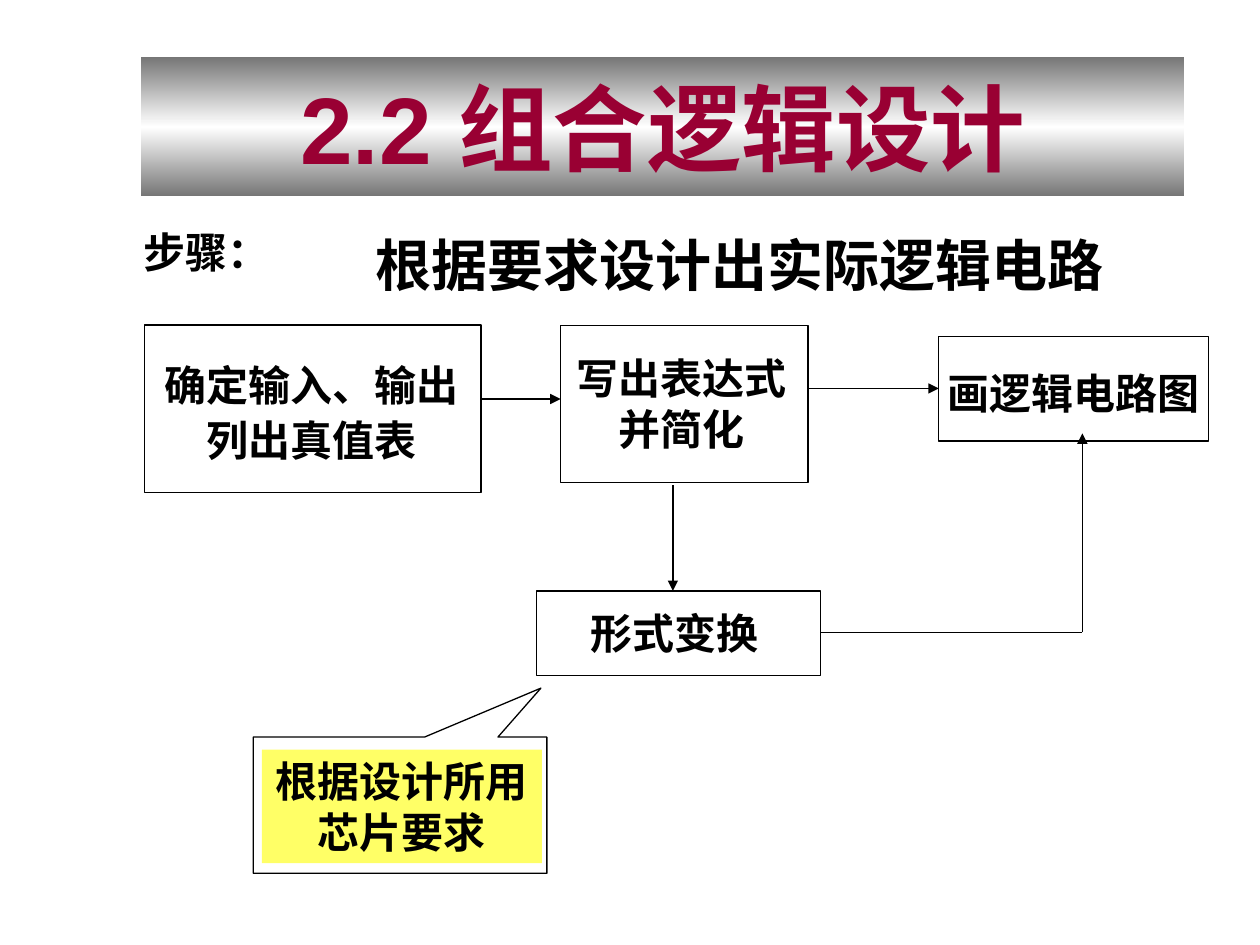
from dataclasses import dataclass
from typing import Optional

from lxml.etree import SubElement
from pptx import Presentation
from pptx.dml.color import RGBColor
from pptx.enum.shapes import MSO_CONNECTOR as Connector
from pptx.enum.shapes import MSO_SHAPE as Preset
from pptx.enum.text import MSO_ANCHOR as Anchor
from pptx.enum.text import MSO_AUTO_SIZE as AutoSize
from pptx.enum.text import PP_ALIGN as Align
from pptx.oxml.ns import qn
from pptx.util import Pt

BLACK = RGBColor(0x00, 0x00, 0x00)
CRIMSON = RGBColor(0x99, 0x00, 0x33)
YELLOW = RGBColor(0xFF, 0xFF, 0x66)
GRAY = RGBColor(0x76, 0x76, 0x76)
WHITE = RGBColor(0xFF, 0xFF, 0xFF)
LATIN, CHINESE = "Arial", "Noto Sans CJK SC"
LINE_WIDTH = 0.75


@dataclass(frozen=True)
class Area:
    left: float
    top: float
    width: float
    height: float

    def lengths(self) -> tuple:
        return tuple(Pt(v) for v in (self.left, self.top, self.width, self.height))


@dataclass(frozen=True)
class Label:
    lines: tuple
    area: Area
    size: float = 24
    font: str = LATIN
    align: Align = Align.CENTER
    anchor: Anchor = Anchor.MIDDLE
    spacing: float = 1.0
    left_inset: float = 7.2
    wrap: bool = False
    fill: Optional[RGBColor] = None


@dataclass(frozen=True)
class Line:
    start: tuple
    end: tuple
    arrow: bool = True


def format_span(span, size: float, font: str, color: RGBColor) -> None:
    values = {"name": font, "size": Pt(size), "bold": True}
    for name, value in values.items():
        setattr(span.font, name, value)
    span.font.color.rgb = color
    SubElement(span.font._element, qn("a:ea"), typeface=CHINESE)


def add_label(page, label: Label) -> None:
    if label.fill is None:
        box = page.shapes.add_textbox(*label.area.lengths())
    else:
        box = page.shapes.add_shape(Preset.RECTANGLE, *label.area.lengths())
        box.shadow.inherit = False
        box.fill.solid()
        box.fill.fore_color.rgb = label.fill
        box.line.fill.background()
    frame = box.text_frame
    values = {"word_wrap": label.wrap, "auto_size": AutoSize.SHAPE_TO_FIT_TEXT,
              "vertical_anchor": label.anchor, "margin_left": Pt(label.left_inset)}
    for name, value in values.items():
        setattr(frame, name, value)
    for index, line in enumerate(label.lines):
        para = frame.add_paragraph() if index else frame.paragraphs[0]
        para.alignment = label.align
        para.line_spacing = label.spacing
        span = para.add_run()
        span.text = line
        format_span(span, label.size, label.font, BLACK)


def add_outline(page, preset: Preset, area: Area):
    shape = page.shapes.add_shape(preset, *area.lengths())
    shape.shadow.inherit = False
    shape.fill.background()
    shape.line.color.rgb = BLACK
    shape.line.width = Pt(LINE_WIDTH)
    return shape


def add_line(page, line: Line) -> None:
    ends = (Pt(v) for v in line.start + line.end)
    connector = page.shapes.add_connector(Connector.STRAIGHT, *ends)
    connector.line.color.rgb = BLACK
    connector.line.width = Pt(LINE_WIDTH)
    if line.arrow:
        SubElement(connector.line._get_or_add_ln(), qn("a:tailEnd"), type="triangle")
    SubElement(connector._element.spPr, qn("a:effectLst"))


def fill_banner(shape) -> None:
    """Vertical gray-white-gray gradient."""
    shape.fill.gradient()
    shape.fill.gradient_angle = 270
    stops = shape.fill._fill._gradFill.find(qn("a:gsLst"))
    for stop in list(stops):
        stops.remove(stop)
    for percent, color in ((0, GRAY), (50, WHITE), (100, GRAY)):
        stop = SubElement(stops, qn("a:gs"), pos=str(percent * 1000))
        SubElement(stop, qn("a:srgbClr"), val=str(color))


def add_title(page, text: str, area: Area) -> None:
    title = page.shapes.title
    title.left, title.top, title.width, title.height = area.lengths()
    fill_banner(title)
    frame = title.text_frame
    frame.auto_size = AutoSize.NONE
    frame.vertical_anchor = Anchor.MIDDLE
    para = frame.paragraphs[0]
    para.alignment = Align.CENTER
    span = para.add_run()
    span.text = text
    format_span(span, 54, LATIN, CRIMSON)


# Flow chart frames
FRAMES = (
    Area(82.8, 185.8, 192.2, 95.8),
    Area(320.4, 185.8, 141.4, 90),
    Area(536.4, 192.2, 154, 59.8),
    Area(306.7, 337.7, 162, 48.2),
)
CALLOUT = Area(144.7, 421.2, 167.8, 77.8)

# Arrows between the steps
LINES = (
    Line((275, 228), (320.4, 228)),
    Line((462, 222), (536.4, 222)),
    Line((384.5, 277.2), (384.5, 337.7)),
    Line((468.7, 361.4), (618.5, 361.4), arrow=False),
    Line((618.5, 361.4), (618.5, 247.7)),
)

# Indented labels sit right of a one-inch inset; widths leave slack for one line
INDENT = 79.2
LABELS = (
    Label(("步骤：",), Area(74.9, 126, 90, 36), align=Align.LEFT, anchor=Anchor.TOP),
    Label(("根据要求设计出实际逻辑电路",), Area(207.4, 128.2, 436, 46.1), size=32,
          align=Align.LEFT, anchor=Anchor.TOP),
    Label(("确定输入、输出", "列出真值表"), Area(10.1, 198.7, 264.2, 70.6),
          spacing=1.1, left_inset=INDENT, wrap=True),
    Label(("写出表达式", "并简化"), Area(320.5, 198, 138, 64.8)),
    Label(("画逻辑电路图",), Area(460.4, 203.8, 234, 38.9), anchor=Anchor.TOP,
          spacing=1.1, left_inset=INDENT),
    Label(("形式变换",), Area(328.6, 343.4, 114, 36)),
    Label(("根据设计所用", "芯片要求"), Area(149.7, 428.4, 160, 64.8),
          font=CHINESE, fill=YELLOW),
)


def main() -> None:
    deck = Presentation()
    deck.slide_width, deck.slide_height = Pt(720), Pt(540)
    page = deck.slides.add_slide(deck.slide_layouts.get_by_name("Title Only"))
    add_title(page, "2.2 组合逻辑设计", Area(80.6, 32.4, 596.2, 79.9))
    for area in FRAMES:
        add_outline(page, Preset.RECTANGLE, area)
    callout = add_outline(page, Preset.RECTANGULAR_CALLOUT, CALLOUT)
    callout.adjustments[0], callout.adjustments[1] = 0.48, -0.86
    for line in LINES:
        add_line(page, line)
    for label in LABELS:
        add_label(page, label)
    deck.save("out.pptx")


if __name__ == "__main__":
    main()
